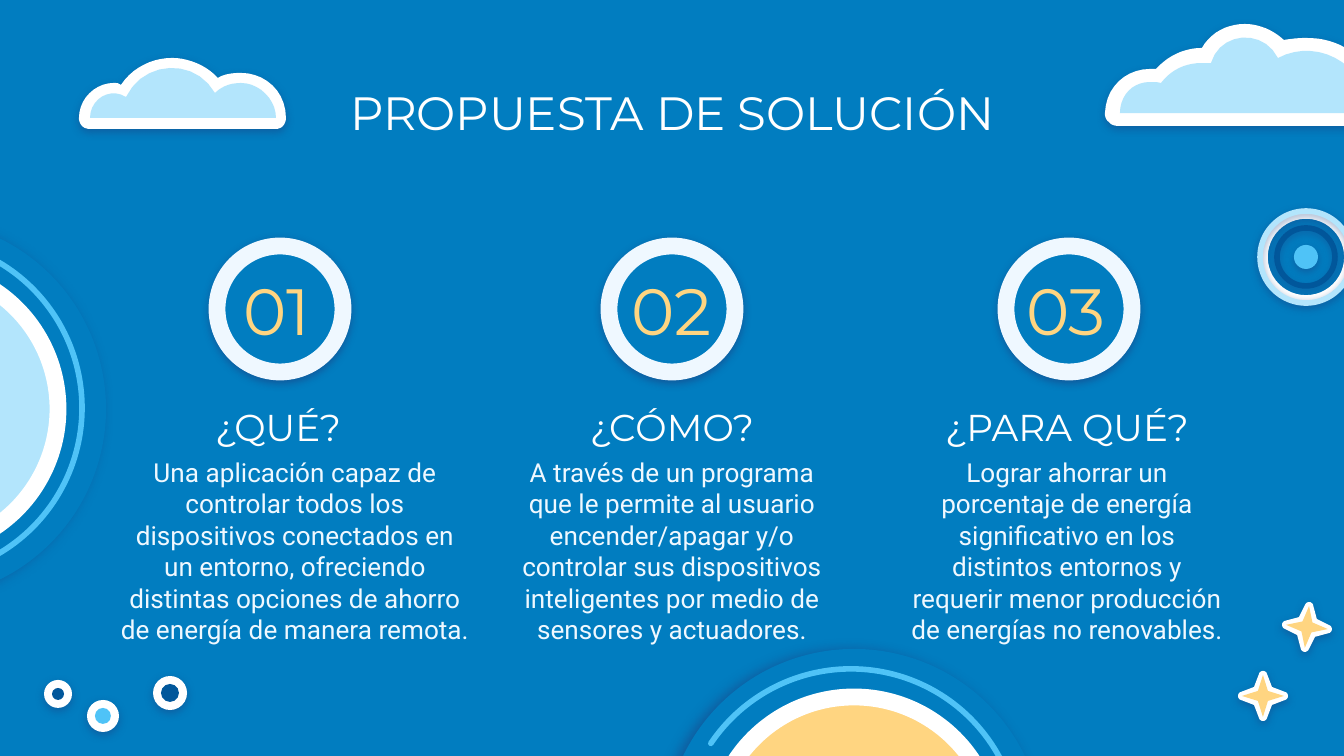
import dataclasses
import typing

import lxml.etree
import pptx
import pptx.dml.color
import pptx.enum.shapes
import pptx.enum.text
import pptx.oxml.ns
import pptx.util

SCALE = 914400 / 134.4
FINE = 10
STEPS = 10
KIND = pptx.enum.shapes.MSO_SHAPE
Point = tuple[float, float]


@dataclasses.dataclass(frozen=True)
class Theme:
    sky: str = "017DC0"
    navy: str = "01579B"
    shade: str = "1C4587"
    light: str = "4FC3F7"
    pale: str = "B3E5FC"
    sun: str = "FFD581"
    white: str = "FFFFFF"
    soft: str = "EFF8FF"
    head: str = "Montserrat"
    body: str = "Roboto"
    title: int = 25
    number: int = 35
    label: int = 20
    prose: int = 14


class Shadow(typing.NamedTuple):
    alpha: int
    blur: float
    dist: float
    angle: int


class Outline(typing.NamedTuple):
    start: Point
    curves: list[tuple[float, ...]]


class Cloud(typing.NamedTuple):
    rim: Outline
    core: Outline


class Planet(typing.NamedTuple):
    x: int
    y: int
    fill: str


class Star(typing.NamedTuple):
    x: int
    y: int
    turn: float


class Bubble(typing.NamedTuple):
    x: int
    y: int
    outer: int
    inner: int
    fill: str


class Ring(typing.NamedTuple):
    radius: int
    color: str


class Column(typing.NamedTuple):
    disc: int
    mid: int
    left: int
    box: tuple[int, int, int, int]
    number: str
    label: str
    text: str


THEME = Theme()
NEAR = Shadow(50, 4.5, 1.5, 90)
DEEP = Shadow(62, 4.5, 1.5, 90)
FAR = Shadow(61, 6.8, 3, 169)

CLOUDS = [
    Cloud(
        Outline((1245, 24), [
            (1228, 24, 1211, 32, 1202, 48), (1184, 48, 1168, 56, 1156, 69), (1150, 69),
            (1126, 69, 1106, 87, 1105, 113), (1105, 117, 1106, 120, 1109, 122),
            (1111, 125, 1115, 126, 1120, 126), (1407, 126),
            (1415, 126, 1421, 120, 1421, 113), (1421, 83, 1396, 59, 1366, 59), (1359, 59),
            (1345, 44, 1327, 38, 1306, 38), (1298, 38, 1290, 39, 1284, 40),
            (1273, 30, 1259, 24, 1245, 24)]),
        Outline((1407, 113), [
            (1407, 90, 1388, 73, 1366, 73), (1362, 73, 1359, 73, 1355, 74),
            (1336, 51, 1304, 44, 1278, 58), (1263, 28, 1220, 32, 1211, 63), (1202, 63),
            (1185, 63, 1171, 70, 1161, 83), (1157, 82, 1154, 82, 1150, 82),
            (1133, 82, 1120, 95, 1120, 113)])),
    Cloud(
        Outline((172, 58), [
            (153, 58, 133, 67, 121, 85), (118, 83, 117, 83, 114, 83),
            (95, 83, 79, 99, 79, 118), (79, 124, 83, 129, 90, 129), (276, 129),
            (282, 129, 286, 124, 286, 118), (286, 91, 265, 73, 241, 73),
            (233, 73, 224, 74, 218, 78), (206, 65, 188, 58, 172, 58)]),
        Outline((241, 83), [
            (231, 83, 222, 86, 215, 93), (195, 58, 144, 60, 126, 97),
            (110, 87, 90, 99, 90, 118), (276, 118), (276, 99, 259, 83, 241, 83)])),
]
PLANETS = [Planet(854, 839, THEME.sun), Planet(-84, 409, THEME.pale)]
STARS = [Star(1263, 696, 0), Star(1307, 627, 5.8)]
RINGS = [Ring(29, THEME.navy), Ring(41, THEME.white), Ring(46, THEME.pale)]
BUBBLES = [Bubble(103, 716, 16, 8, THEME.light), Bubble(170, 693, 17, 9, THEME.navy),
           Bubble(58, 694, 14, 6, THEME.navy)]
COLUMNS = [
    Column(280, 277, 106, (106, 461, 378, 179), "01", "¿QUÉ?",
           "Una aplicación capaz de controlar todos los dispositivos conectados en un entorno, "
           "ofreciendo distintas opciones de ahorro de energía de manera remota."),
    Column(672, 672, 500, (500, 464, 344, 173), "02", "¿CÓMO?",
           "A través de un programa que le permite al usuario encender/apagar y/o controlar sus "
           "dispositivos inteligentes por medio de sensores y actuadores."),
    Column(1069, 1066, 895, (895, 464, 344, 173), "03", "¿PARA QUÉ?",
           "Lograr ahorrar un porcentaje de energía significativo en los distintos entornos y "
           "requerir menor producción de energías no renovables."),
]


def px(size: float) -> int:
    return round(size * SCALE)


def rgb(color: str) -> pptx.dml.color.RGBColor:
    return pptx.dml.color.RGBColor.from_string(color)


def paint(shape, fill: str = "", line: str = "", width: float = 0,
          shadow: Shadow | None = None) -> None:
    if fill:
        shape.fill.solid()
        shape.fill.fore_color.rgb = rgb(fill)
    else:
        shape.fill.background()
    if line:
        shape.line.color.rgb = rgb(line)
        shape.line.width = pptx.util.Pt(width)
    else:
        shape.line.fill.background()
    shape.shadow.inherit = False
    if shadow:
        qn = pptx.oxml.ns.qn
        effects = shape.element.spPr.find(qn("a:effectLst"))
        outer = lxml.etree.SubElement(
            effects, qn("a:outerShdw"), blurRad=str(pptx.util.Pt(shadow.blur)),
            dist=str(pptx.util.Pt(shadow.dist)), dir=str(shadow.angle * 60000),
            algn="bl", rotWithShape="0")
        tint = lxml.etree.SubElement(outer, qn("a:srgbClr"), val=THEME.shade)
        lxml.etree.SubElement(tint, qn("a:alpha"), val=str(shadow.alpha * 1000))


def round_at(shapes, x: int, y: int, radius: int, kind=KIND.OVAL):
    return shapes.add_shape(kind, px(x - radius), px(y - radius), px(2 * radius), px(2 * radius))


def trace(shapes, outline: Outline):
    points = [outline.start]
    for curve in outline.curves:
        if len(curve) == 2:
            points.append(curve)
            continue
        a, b, c, d = points[-1], curve[:2], curve[2:4], curve[4:]
        for t in (step / STEPS for step in range(1, STEPS + 1)):
            u = 1 - t
            points.append(tuple(u**3 * a[i] + 3 * u * u * t * b[i] + 3 * u * t * t * c[i]
                                + t**3 * d[i] for i in (0, 1)))
    fine = [(x * FINE, y * FINE) for x, y in points]
    pen = shapes.build_freeform(*fine[0], scale=SCALE / FINE)
    pen.add_line_segments(fine[1:], close=True)
    return pen.convert_to_shape()


def draw_cloud(shapes, cloud: Cloud) -> None:
    paint(trace(shapes, cloud.rim), THEME.white, shadow=NEAR)
    paint(trace(shapes, cloud.core), THEME.pale)


def draw_planet(shapes, planet: Planet) -> None:
    paint(round_at(shapes, planet.x, planet.y, 190), THEME.sky, shadow=FAR)
    paint(round_at(shapes, planet.x, planet.y, 142), planet.fill, THEME.white, 9)
    arc = round_at(shapes, planet.x - 3, planet.y - 1, 169, KIND.ARC)
    arc.adjustments[0] = 214 * 0.6
    arc.adjustments[1] = 90 * 0.6
    paint(arc, line=THEME.light, width=3)
    arc.element.spPr.find(pptx.oxml.ns.qn("a:ln")).set("cap", "rnd")


def draw_star(shapes, star: Star) -> None:
    rim = [(-4, -22), (-3, -26, 3, -26, 4, -22), (9, -9)]
    core = [(0, -21), (5, -5)]
    for arm, fill, shadow in ((rim, THEME.white, NEAR), (core, THEME.sun, None)):
        curves = []
        for cos, sin in ((1, 0), (0, 1), (-1, 0), (0, -1)):
            for curve in arm:
                pairs = zip(curve[::2], curve[1::2])
                curves.append(tuple(n for x, y in pairs for n in
                                    (star.x + x * cos - y * sin, star.y + x * sin + y * cos)))
        shape = trace(shapes, Outline(curves[-1], curves))
        shape.rotation = star.turn
        paint(shape, fill, shadow=shadow)


def write(shapes, box: tuple[int, int, int, int], text: str, size: int, font: str,
          color: str) -> None:
    frame = shapes.add_textbox(*map(px, box)).text_frame
    frame.word_wrap = True
    frame.vertical_anchor = pptx.enum.text.MSO_ANCHOR.MIDDLE
    frame.margin_left = frame.margin_right = frame.margin_top = frame.margin_bottom = px(13)
    frame.text = text
    line = frame.paragraphs[0]
    line.alignment = pptx.enum.text.PP_ALIGN.CENTER
    style = line.runs[0].font
    style.size, style.name = pptx.util.Pt(size), font
    style.color.rgb = rgb(color)


def draw_column(shapes, col: Column) -> None:
    paint(round_at(shapes, col.disc, 309, 63), THEME.sky, THEME.soft, 9, DEEP)
    write(shapes, col.box, col.text, THEME.prose, THEME.body, THEME.soft)
    write(shapes, (col.mid - 60, 270, 120, 78), col.number, THEME.number, THEME.head, THEME.sun)
    write(shapes, (col.left, 386, 344, 82), col.label, THEME.label, THEME.head, THEME.white)


def main() -> None:
    deck = pptx.Presentation()
    deck.slide_width, deck.slide_height = px(1344), px(756)
    slide = deck.slides.add_slide(deck.slide_layouts[6])
    slide.background.fill.solid()
    slide.background.fill.fore_color.rgb = rgb(THEME.sky)
    shapes = slide.shapes
    for planet in PLANETS:
        draw_planet(shapes, planet)
    for star in STARS:
        draw_star(shapes, star)
    for ring in RINGS:
        paint(round_at(shapes, 1306, 257, ring.radius), "", ring.color, 3, NEAR)
    paint(round_at(shapes, 1306, 257, 12), THEME.light, shadow=NEAR)
    for dot in BUBBLES:
        paint(round_at(shapes, dot.x, dot.y, dot.outer), THEME.white, shadow=NEAR)
        paint(round_at(shapes, dot.x, dot.y, dot.inner), dot.fill)
    for cloud in CLOUDS:
        draw_cloud(shapes, cloud)
    write(shapes, (300, 78, 744, 67), "PROPUESTA DE SOLUCIÓN", THEME.title, THEME.head,
          THEME.white)
    for col in COLUMNS:
        draw_column(shapes, col)
    deck.save("out.pptx")


main()
